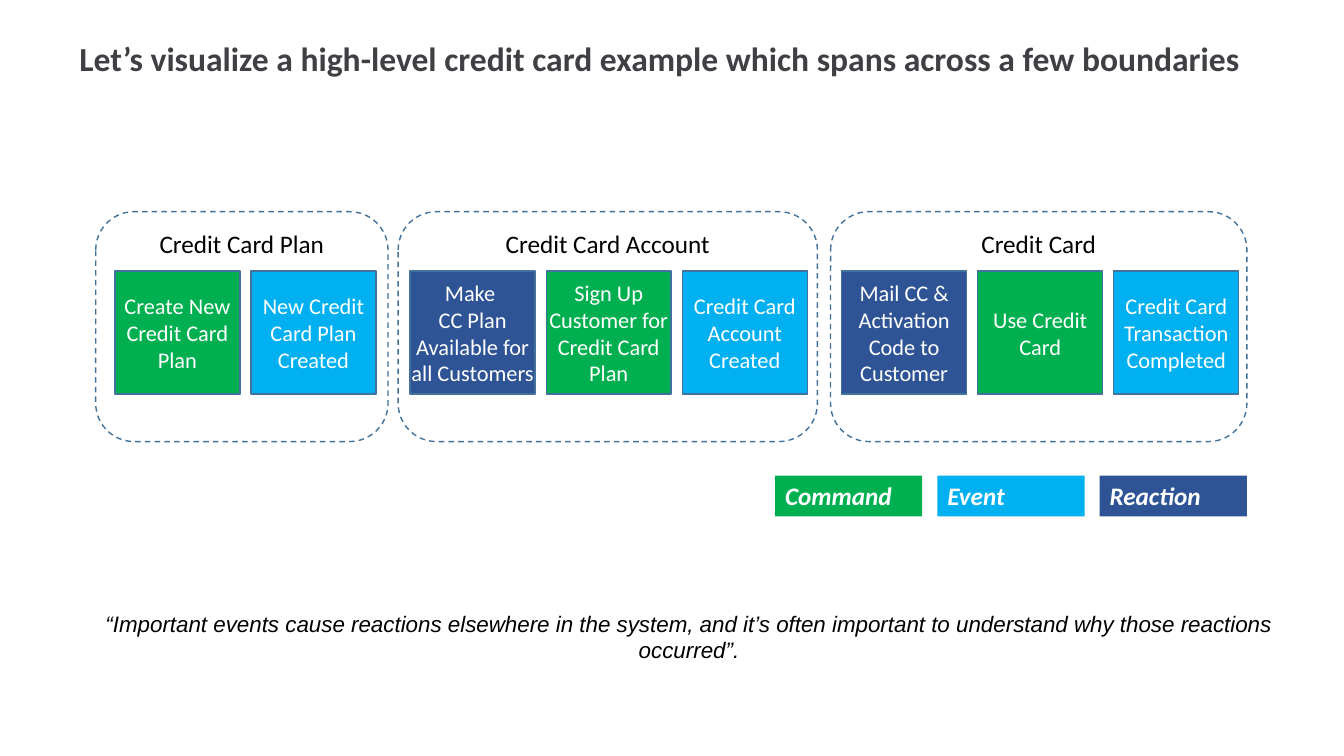
from pptx import Presentation
from pptx.dml.color import RGBColor
from pptx.enum.dml import MSO_LINE
from pptx.enum.shapes import MSO_SHAPE
from pptx.enum.text import MSO_ANCHOR, PP_ALIGN
from pptx.util import Pt

RECT, ROUNDED = MSO_SHAPE.RECTANGLE, MSO_SHAPE.ROUNDED_RECTANGLE
DASH = MSO_LINE.DASH
TOP, MIDDLE = MSO_ANCHOR.TOP, MSO_ANCHOR.MIDDLE
LEFT, CENTER = PP_ALIGN.LEFT, PP_ALIGN.CENTER

WHITE, BLACK, TITLE_GREY, OUTLINE = "FFFFFF", "000000", "3E4043", "42719B"
KIND_COLORS = {"Command": "00B050", "Event": "00B0F0", "Reaction": "2F5496"}

BOUNDARY_TOP, BOUNDARY_HEIGHT = 151.2, 164.2
STEP_TOP, STEP_WIDTH, STEP_HEIGHT, STEP_PITCH = 193.7, 89.3, 87.8, 97.2
LEGEND_LEFT, LEGEND_TOP, LEGEND_PITCH = 553.7, 339.8, 115.9

# name, left, width, left of first step, steps
BOUNDARIES = [
    ("Credit Card Plan", 68.4, 208.8, 82.1, [
        ("Command", "Create New Credit Card Plan"),
        ("Event", "New Credit Card Plan Created")]),
    ("Credit Card Account", 284.4, 299.5, 293, [
        ("Reaction", "Make \vCC Plan Available for all Customers"),
        ("Command", "Sign Up Customer for Credit Card Plan"),
        ("Event", "Credit Card Account Created")]),
    ("Credit Card", 593.3, 297.4, 601.2, [
        ("Reaction", "Mail CC & Activation Code to Customer"),
        ("Command", "Use Credit Card"),
        ("Event", "Credit Card Transaction Completed")]),
]


def color(hex_code):
    return RGBColor.from_string(hex_code)


def set_text(s, text, size, hex_code, align=CENTER, anchor=TOP, font="Calibri",
             bold=False, italic=False):
    tf = s.text_frame
    tf.word_wrap = True
    tf.vertical_anchor = anchor
    tf.text = text
    p = tf.paragraphs[0]
    p.alignment = align
    for r in p.runs:
        r.font.name, r.font.size = font, Pt(size)
        r.font.bold, r.font.italic = bold, italic
        r.font.color.rgb = color(hex_code)


def add_text(slide, left, top, width, height, *text, **style):
    box = slide.shapes.add_textbox(Pt(left), Pt(top), Pt(width), Pt(height))
    set_text(box, *text, **style)
    return box


def add_box(slide, preset, left, top, width, height, fill=None, line=None):
    s = slide.shapes.add_shape(preset, Pt(left), Pt(top), Pt(width), Pt(height))
    s.shadow.inherit = False
    if fill:
        s.fill.solid()
        s.fill.fore_color.rgb = color(fill)
    else:
        s.fill.background()
    if line:
        s.line.color.rgb = color(line)
        s.line.width = Pt(1)
    else:
        s.line.fill.background()
    return s


def add_boundary(slide, name, left, width):
    s = add_box(slide, ROUNDED, left, BOUNDARY_TOP, width, BOUNDARY_HEIGHT, line=OUTLINE)
    s.line.dash_style = DASH
    set_text(s, name, 18, BLACK)


def add_step(slide, kind, text, left):
    s = add_box(slide, RECT, left, STEP_TOP, STEP_WIDTH, STEP_HEIGHT,
                KIND_COLORS[kind], OUTLINE)
    set_text(s, text, 16, WHITE, anchor=MIDDLE)
    tf = s.text_frame
    tf.margin_left = tf.margin_right = tf.margin_top = tf.margin_bottom = 0


def add_legend(slide):
    for i, (kind, fill) in enumerate(KIND_COLORS.items()):
        s = add_box(slide, RECT, LEGEND_LEFT + i * LEGEND_PITCH, LEGEND_TOP, 105.1, 29, fill)
        set_text(s, kind, 18, WHITE, LEFT, bold=True, italic=True)


def main():
    prs = Presentation()
    prs.slide_width, prs.slide_height = Pt(960), Pt(540)
    slide = prs.slides.add_slide(prs.slide_layouts[6])

    title = add_text(
        slide, 49.7, 26.6, 857.5, 33.1,
        "Let’s visualize a high-level credit card example which spans across a few boundaries",
        24, TITLE_GREY, align=LEFT, anchor=MIDDLE, bold=True)
    title.text_frame.paragraphs[0].line_spacing = 0.9

    for name, left, width, first_step, steps in BOUNDARIES:
        add_boundary(slide, name, left, width)
        for i, (kind, text) in enumerate(steps):
            add_step(slide, kind, text, first_step + i * STEP_PITCH)
    add_legend(slide)

    add_text(
        slide, 49.7, 432, 884.9, 26.6,
        "“Important events cause reactions elsewhere in the system, and it’s often "
        "important to understand why those reactions occurred”.",
        16, BLACK, font="Arial", italic=True)

    prs.save("out.pptx")


if __name__ == "__main__":
    main()
